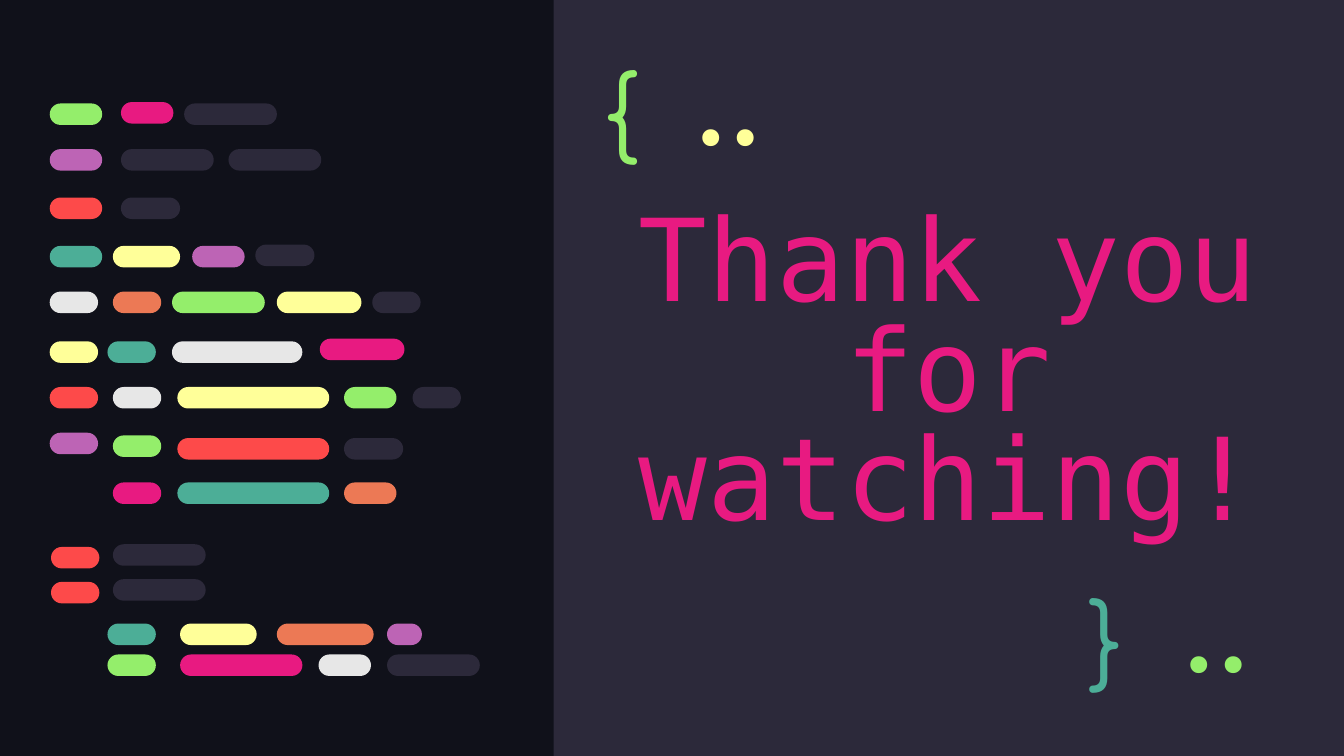
from dataclasses import dataclass

from pptx import Presentation
from pptx.dml.color import RGBColor
from pptx.enum.shapes import MSO_SHAPE as Preset
from pptx.enum.text import MSO_ANCHOR as Anchor, PP_ALIGN as Align
from pptx.slide import Slide
from pptx.util import Inches, Pt

COLORS = {
    "night": "10111A", "slate": "2C293A", "green": "94EE6B", "pink": "E81A81",
    "purple": "BD64B5", "red": "FD4A4A", "teal": "4CAE97", "yellow": "FFFF99",
    "white": "E7E7E7", "orange": "EC7955",
}
TOKEN_HEIGHT = 0.16


@dataclass(frozen=True)
class Token:
    """One pill in a line of code; shift moves it off the line's top."""
    left: float
    width: float
    color: str
    shift: float = 0


@dataclass(frozen=True)
class CodeLine:
    """A row of tokens that share a top."""
    top: float
    tokens: tuple[Token, ...]


CODE = (
    CodeLine(0.77, (Token(0.37, 0.39, "green"), Token(0.9, 0.39, "pink", -0.01),
                    Token(1.37, 0.69, "slate"))),
    CodeLine(1.11, (Token(0.37, 0.39, "purple"), Token(0.9, 0.69, "slate"),
                    Token(1.7, 0.69, "slate"))),
    CodeLine(1.47, (Token(0.37, 0.39, "red"), Token(0.9, 0.44, "slate"))),
    CodeLine(1.83, (Token(0.37, 0.39, "teal"), Token(0.84, 0.5, "yellow"),
                    Token(1.43, 0.39, "purple"), Token(1.9, 0.44, "slate", -0.01))),
    CodeLine(2.17, (Token(0.37, 0.36, "white"), Token(0.84, 0.36, "orange"),
                    Token(1.28, 0.69, "green"), Token(2.06, 0.63, "yellow"),
                    Token(2.77, 0.36, "slate"))),
    CodeLine(2.54, (Token(0.37, 0.36, "yellow"), Token(0.8, 0.36, "teal"),
                    Token(1.28, 0.97, "white"), Token(2.38, 0.63, "pink", -0.02))),
    CodeLine(2.88, (Token(0.37, 0.36, "red"), Token(0.84, 0.36, "white"),
                    Token(1.32, 1.13, "yellow"), Token(2.56, 0.39, "green"),
                    Token(3.07, 0.36, "slate"))),
    CodeLine(3.24, (Token(0.37, 0.36, "purple", -0.02), Token(0.84, 0.36, "green"),
                    Token(1.32, 1.13, "red", 0.02), Token(2.56, 0.44, "slate", 0.02))),
    CodeLine(3.59, (Token(0.84, 0.36, "pink"), Token(1.32, 1.13, "teal"),
                    Token(2.56, 0.39, "orange"))),
    CodeLine(4.07, (Token(0.38, 0.36, "red"), Token(0.84, 0.69, "slate", -0.02))),
    CodeLine(4.33, (Token(0.38, 0.36, "red"), Token(0.84, 0.69, "slate", -0.02))),
    CodeLine(4.64, (Token(0.8, 0.36, "teal"), Token(1.34, 0.57, "yellow"),
                    Token(2.06, 0.72, "orange"), Token(2.88, 0.26, "purple"))),
    CodeLine(4.87, (Token(0.8, 0.36, "green"), Token(1.34, 0.91, "pink"),
                    Token(2.37, 0.39, "white"), Token(2.88, 0.69, "slate"))),
)


def add_block(slide: Slide, preset: Preset, left: float, top: float,
              width: float, height: float, color: str) -> None:
    """Draw a flat filled shape; rounded ones become full pills."""
    block = slide.shapes.add_shape(
        preset, Inches(left), Inches(top), Inches(width), Inches(height))
    block.shadow.inherit = False
    block.fill.solid()
    block.fill.fore_color.rgb = RGBColor.from_string(COLORS[color])
    block.line.fill.background()
    if preset == Preset.ROUNDED_RECTANGLE:
        block.adjustments[0] = 0.5


def add_text(slide: Slide, text: str, left: float, top: float, width: float,
             height: float, *, font: str, color: str, size: float = 50,
             align: Align = Align.LEFT, anchor: Anchor = Anchor.TOP,
             spacing: float = 1.0) -> None:
    """Write one wrapped paragraph in a text box."""
    frame = slide.shapes.add_textbox(
        Inches(left), Inches(top), Inches(width), Inches(height)).text_frame
    frame.word_wrap = True
    frame.vertical_anchor = anchor
    frame.margin_left = frame.margin_right = Inches(0.1)
    frame.margin_top = frame.margin_bottom = Inches(0.1)
    paragraph = frame.paragraphs[0]
    paragraph.alignment = align
    paragraph.line_spacing = spacing
    run = paragraph.add_run()
    run.text = text
    run.font.name = font
    run.font.size = Pt(size)
    run.font.color.rgb = RGBColor.from_string(COLORS[color])


def add_code(slide: Slide) -> None:
    """Draw every line of the abstract code listing."""
    for line in CODE:
        for token in line.tokens:
            add_block(slide, Preset.ROUNDED_RECTANGLE, token.left,
                      line.top + token.shift, token.width, TOKEN_HEIGHT, token.color)


def main() -> None:
    """Build the closing slide."""
    deck = Presentation()
    deck.slide_width = Inches(10)
    deck.slide_height = Inches(10 * 9 / 16)
    slide = deck.slides.add_slide(deck.slide_layouts[6])
    slide.background.fill.solid()
    slide.background.fill.fore_color.rgb = RGBColor.from_string(COLORS["night"])

    add_block(slide, Preset.RECTANGLE, 4.12, 0, 5.88, 5.63, "slate")
    add_text(slide, "Thank you for watching!", 4.53, 1.43, 5.05, 2.77,
             font="DejaVu Sans Mono", color="pink", size=61.2,
             align=Align.CENTER, anchor=Anchor.MIDDLE, spacing=0.8)
    add_code(slide)
    add_text(slide, "{", 4.39, 0.27, 0.77, 1.03, font="Comfortaa", color="green")
    add_text(slide, "}", 8, 4.2, 0.57, 1.03, font="Comfortaa", color="teal")
    for left, top, color in ((8.51, 4.21, "green"), (4.88, 0.29, "yellow")):
        add_text(slide, "..", left, top, 1.07, 1.03, font="Fira Code",
                 color=color, align=Align.RIGHT, anchor=Anchor.MIDDLE)
    deck.save("out.pptx")


main()
